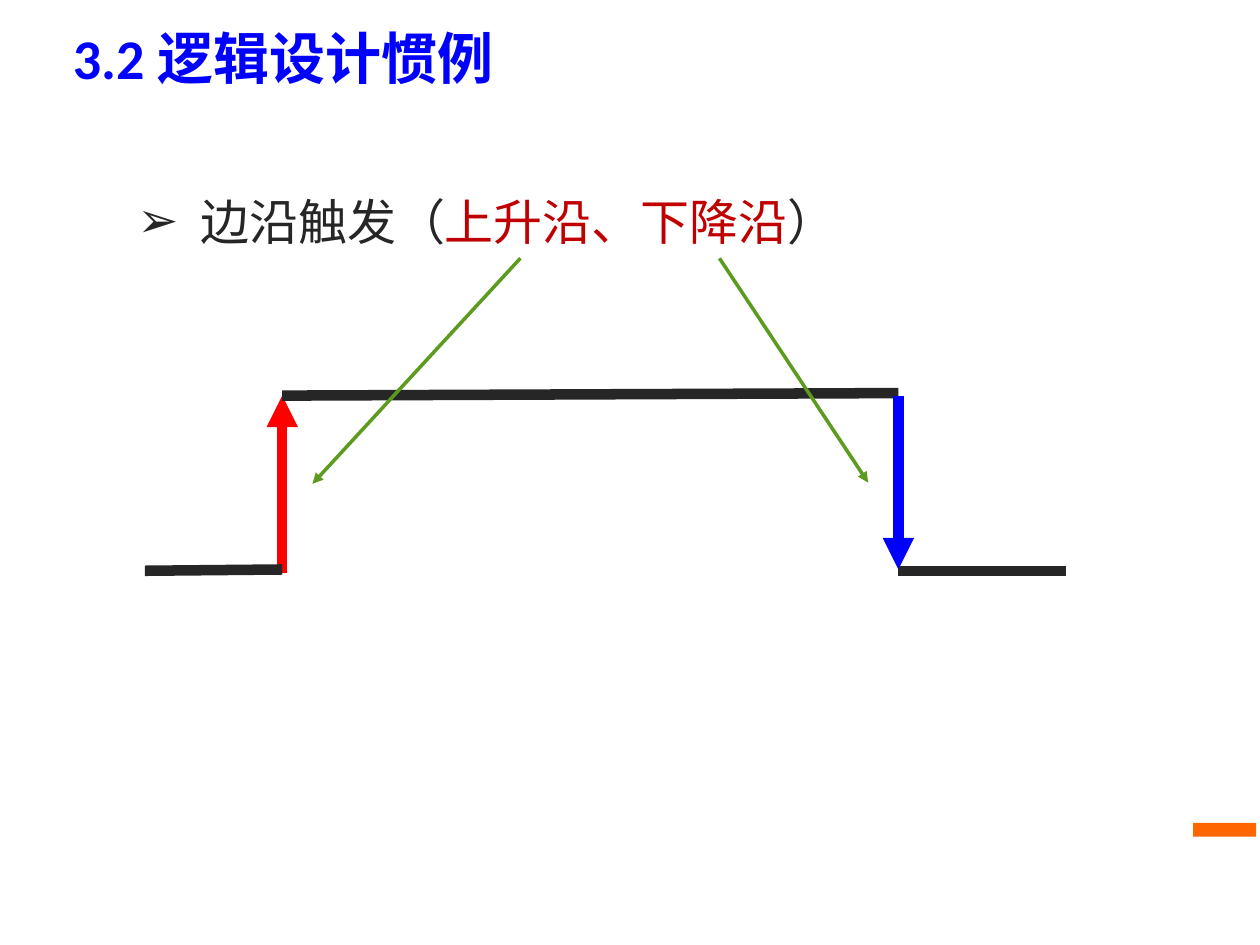
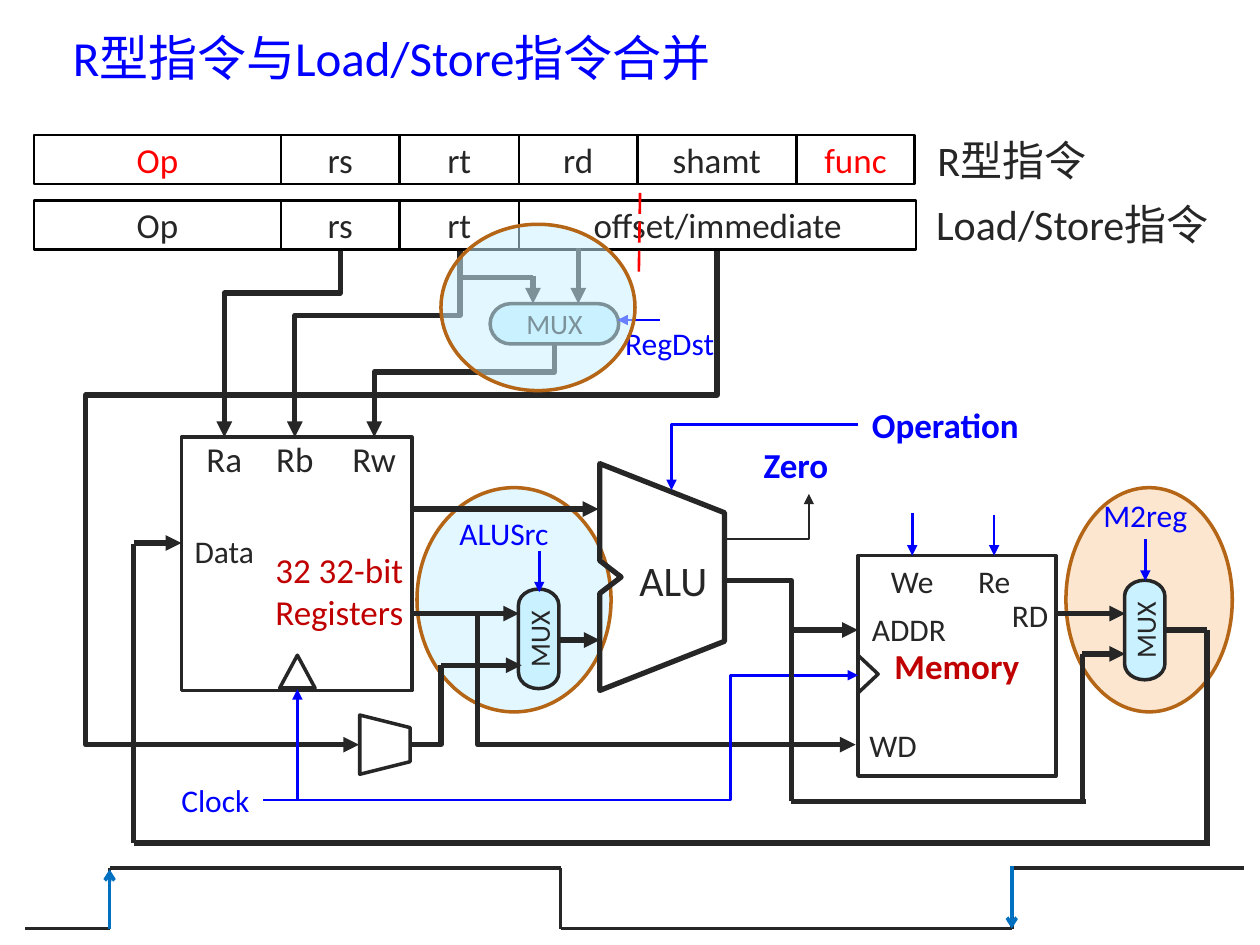
import pptx
import pptx.util
import pptx.dml.color
import pptx.enum.dml
import pptx.enum.shapes
import pptx.enum.text
import pptx.oxml.ns
import lxml.etree

Inches = pptx.util.Inches
Pt = pptx.util.Pt
RGBColor = pptx.dml.color.RGBColor
SHAPE = pptx.enum.shapes.MSO_SHAPE
CONN = pptx.enum.shapes.MSO_CONNECTOR
ALIGN = pptx.enum.text.PP_ALIGN
ANCHOR = pptx.enum.text.MSO_ANCHOR
qn = pptx.oxml.ns.qn

INK = RGBColor(0x26, 0x26, 0x26)
BLACK = RGBColor(0, 0, 0)
WHITE = RGBColor(255, 255, 255)
BLUE = RGBColor(0, 0, 255)
RED = RGBColor(255, 0, 0)
CRIMSON = RGBColor(0xC0, 0, 0)
GREEN = RGBColor(0x5C, 0x9B, 0x1D)
ORANGE = RGBColor(0xFF, 0x66, 0)
BROWN = RGBColor(0xB5, 0x65, 0x16)
PEACH = RGBColor(0xFB, 0xD0, 0xA5)
SKY = RGBColor(0xC9, 0xF1, 0xFF)
EDGE_BLUE = RGBColor(0, 0x70, 0xC0)
FONT = "Calibri"


def box(s, kind, x, y, w, h, text="", size=20, color=INK, bold=False,
        align=ALIGN.CENTER, inset=(0, 0), fill=None, line=None, width=2):
    """Add a preset shape, or a wrapped text box when kind is None."""
    at = [Inches(v) for v in (x, y, w, h)]
    if kind is None:
        sp = s.shapes.add_textbox(*at)
    else:
        sp = s.shapes.add_shape(kind, *at)
        sp.shadow.inherit = False
        if fill is None:
            sp.fill.background()
        else:
            sp.fill.solid()
            sp.fill.fore_color.rgb = fill
        if line is None:
            sp.line.fill.background()
        else:
            sp.line.color.rgb = line
            sp.line.width = Pt(width)
    tf = sp.text_frame
    tf.word_wrap = kind is None
    tf.vertical_anchor = ANCHOR.TOP if kind is None else ANCHOR.MIDDLE
    tf.margin_left = tf.margin_right = Inches(inset[0])
    tf.margin_top = tf.margin_bottom = Inches(inset[1])
    if text:
        tf.text = text
        for p in tf.paragraphs:
            p.alignment = align
            for r in p.runs:
                r.font.name, r.font.size, r.font.bold = FONT, Pt(size), bold
                r.font.color.rgb = color
    return sp


def wire(s, x1, y1, x2, y2, color=INK, width=3, tail="triangle",
         bend=None, adj=(), down=False):
    """Add a straight or bent connector; down means it leaves downwards, then goes left."""
    if down:
        cx, cy, dx, dy = (x1 + x2) / 2, (y1 + y2) / 2, x1 - x2, y2 - y1
        x1, y1, x2, y2 = cx - dy / 2, cy - dx / 2, cx + dy / 2, cy + dx / 2
    c = s.shapes.add_connector(CONN.ELBOW if bend else CONN.STRAIGHT,
                               Inches(x1), Inches(y1), Inches(x2), Inches(y2))
    c.line.color.rgb = color
    c.line.width = Pt(width)
    pr = c._element.spPr
    if down:
        pr.find(qn("a:xfrm")).set("rot", "5400000")
    if bend:
        geom = pr.find(qn("a:prstGeom"))
        geom.set("prst", f"bentConnector{bend}")
        for i, value in enumerate(adj, 1):
            lxml.etree.SubElement(geom.find(qn("a:avLst")), qn("a:gd"), name=f"adj{i}",
                                  fmla=f"val {round(value * 100000)}")
    if tail:
        lxml.etree.SubElement(pr.find(qn("a:ln")), qn("a:tailEnd"), type=tail)
    lxml.etree.SubElement(pr, qn("a:effectLst"))
    return c


prs = pptx.Presentation()
prs.slide_width, prs.slide_height = Inches(10), Inches(7.5)

# Slides with their titles
slides = []
for title, size, bold in [("3.2 逻辑设计惯例", 32, True),
                          ("R型指令与Load/Store指令合并", 28, False)]:
    s = prs.slides.add_slide(prs.slide_layouts[6])
    sp = box(s, None, 0.48, 0.08, 9.19, 0.75, title, size, BLUE, bold, ALIGN.LEFT, (0.1, 0.05))
    sp.text_frame.vertical_anchor = ANCHOR.MIDDLE
    slides.append(s)

# ---- Slide 1: edge triggering ----
s = slides[0]
box(s, SHAPE.RECTANGLE, 9.47, 6.53, 0.5, 0.11, fill=ORANGE)

# Bulleted line
sp = box(s, None, 0.98, 1.47, 7.25, 0.58, inset=(0.11, 0.05))
p = sp.text_frame.paragraphs[0]
pPr = p._p.get_or_add_pPr()
pPr.set("marL", str(Inches(0.5)))
pPr.set("indent", str(-Inches(0.5)))
lxml.etree.SubElement(pPr, qn("a:buFont"), typeface="Wingdings 2")
pPr[0].set("typeface", "Arial")
lxml.etree.SubElement(pPr, qn("a:buChar"), char="➢")
for text, color in [("边沿触发（", INK), ("上升沿、下降沿", CRIMSON), ("）", INK)]:
    r = p.add_run()
    r.text = text
    r.font.name, r.font.size = FONT, Pt(28)
    r.font.color.rgb = color

# Pulse: rising edge, levels, falling edge
wire(s, 2.24, 4.55, 2.24, 3.14, RED, 6)
for level in [(2.24, 3.14, 7.13, 3.12), (1.15, 4.53, 2.24, 4.52), (7.13, 4.53, 8.46, 4.53)]:
    wire(s, *level, width=6, tail=None)
wire(s, 7.13, 3.14, 7.13, 4.52, BLUE, 6)

# Pointers from the words to the edges
wire(s, 4.13, 2.05, 2.48, 3.84, GREEN, 2)
wire(s, 5.71, 2.05, 6.89, 3.83, GREEN, 2)

# ---- Slide 2: merged datapath ----
s = slides[1]


# Highlights behind the ALU and memory multiplexers
highlights = [box(s, SHAPE.OVAL, 8.46, 3.87, 1.32, 1.78, fill=PEACH, line=BROWN),
              box(s, SHAPE.OVAL, 3.31, 3.87, 1.54, 1.78, fill=SKY, line=BROWN)]

# Memory and register file
wire(s, 7.83, 4.87, 8.93, 4.87)
box(s, SHAPE.RECTANGLE, 6.81, 4.41, 1.57, 1.75, "Memory", 20, CRIMSON, True,
    fill=WHITE, line=INK)
box(s, SHAPE.RECTANGLE, 1.44, 3.47, 1.83, 2.01, line=INK)
box(s, SHAPE.FLOWCHART_MERGE, 2.22, 5.2, 0.28, 0.26, line=INK).rotation = 180
box(s, SHAPE.FLOWCHART_MERGE, 6.74, 5.27, 0.3, 0.16, line=INK).rotation = 270
box(s, SHAPE.TRAPEZOID, 2.82, 5.71, 0.47, 0.4, line=INK).rotation = 90

# Instruction formats
formats = [
    (1.07, [("Op", 1.96, RED), ("rs", 0.94, INK), ("rt", 0.95, INK),
            ("rd", 0.94, INK), ("shamt", 1.26, INK), ("func", 0.94, RED)]),
    (1.59, [("Op", 1.96, INK), ("rs", 0.94, INK), ("rt", 0.95, INK),
            ("offset/immediate", 3.15, INK)]),
]
for y, fields in formats:
    x = 0.27
    for name, w, color in fields:
        box(s, SHAPE.RECTANGLE, x, y, w, 0.39, name, 20, color,
            fill=WHITE, line=BLACK, width=1.5)
        x += w
c = wire(s, 5.08, 1.53, 5.07, 2.19, RED, 1.5, None)
c.line.dash_style = pptx.enum.dml.MSO_LINE.LONG_DASH

# ALU outline
alu = [(4.76, 3.68), (4.76, 4.45), (4.93, 4.58), (4.76, 4.71),
       (4.76, 5.48), (5.75, 5.09), (5.75, 4.07)]
points = [(Inches(x), Inches(y)) for x, y in alu]
fb = s.shapes.build_freeform(*points[0])
fb.add_line_segments(points[1:], close=True)
sp = fb.convert_to_shape()
sp.shadow.inherit = False
sp.fill.background()
sp.line.color.rgb = INK
sp.line.width = Pt(3)

# Wires that leave the instruction downwards
for ends, bend, adj in [((2.7, 1.99, 1.78, 3.47), 3, [0.227]),
                        ((3.65, 1.99, 2.34, 3.47), 3, [0.346]),
                        ((5.69, 1.99, 2.85, 5.91), 4, [0.292, 1.764]),
                        ((4.4, 2.73, 2.97, 3.47), 3, [0.301])]:
    wire(s, *ends, bend=bend, adj=adj, down=True)

# Other bent wires
wire(s, 5.75, 4.28, 6.42, 3.92, width=1.5, bend=2)
wire(s, 5.75, 4.61, 6.81, 5, bend=3, adj=[0.5])
wire(s, 3.47, 4.87, 6.79, 5.91, bend=3, adj=[0.097])
wire(s, 3.25, 5.91, 3.5, 5.28, tail=None, bend=2)
wire(s, 6.81, 3.37, 5.33, 3.89, BLUE, 1.5, bend=3, adj=[1])
wire(s, 2.09, 6.35, 6.81, 5.36, BLUE, 1.5, bend=3, adj=[0.786])

# Multiplexers
for x, y, w, turn in [(3.88, 4.91, 0.79, 270), (8.69, 4.84, 0.79, 270), (3.89, 2.41, 1.02, 0)]:
    box(s, SHAPE.FLOWCHART_TERMINATOR, x, y, w, 0.32, "MUX", 16,
        fill=SKY, line=INK).rotation = turn

# Straight data wires with arrowheads
for ends in [(3.25, 4.04, 4.75, 4.04), (3.27, 4.87, 4.12, 4.87), (3.5, 5.28, 4.14, 5.28),
             (4.43, 5.08, 4.76, 5.08), (8.59, 5.19, 8.93, 5.19), (1.06, 4.31, 1.44, 4.31),
             (4.59, 1.97, 4.59, 2.41), (4.23, 2.19, 4.23, 2.41)]:
    wire(s, *ends)

# Straight data wires without arrowheads
for ends in [(6.28, 6.36, 6.28, 4.94), (8.59, 6.36, 8.59, 5.19), (6.28, 6.36, 8.62, 6.36),
             (9.25, 5, 9.58, 5), (9.58, 6.69, 9.58, 5), (1.06, 6.69, 9.6, 6.69),
             (1.06, 6.69, 1.06, 4.32), (3.67, 2.2, 4.23, 2.2)]:
    wire(s, *ends, tail=None)

# Control and clock arrows
for ends in [(2.36, 6.35, 2.36, 5.47), (7.24, 4.07, 7.24, 4.41), (7.89, 4.09, 7.89, 4.41),
             (4.28, 4.37, 4.28, 4.7), (9.09, 4.28, 9.09, 4.61), (5.24, 2.54, 4.9, 2.54)]:
    wire(s, *ends, BLUE, 1.5)

# Labels without insets
for x, y, w, text, size in [(1.44, 3.47, 0.68, "Ra", 20), (2, 3.47, 0.68, "Rb", 20),
                            (2.63, 3.47, 0.68, "Rw", 20), (1.44, 4.22, 0.68, "Data", 18),
                            (4.93, 4.4, 0.83, "ALU", 24)]:
    box(s, None, x, y, w, 0.34, text, size)

# Labels with insets
L, C, R = ALIGN.LEFT, ALIGN.CENTER, ALIGN.RIGHT
for x, y, w, h, text, size, color, bold, align in [
        (1.25, 6.15, 0.84, 0.41, "Clock", 18, BLUE, False, R),
        (1.62, 4.3, 1.69, 0.78, "32 32-bit\nRegisters", 20, CRIMSON, False, R),
        (5.95, 3.47, 0.95, 0.45, "Zero", 20, BLUE, True, L),
        (6.81, 3.15, 1.5, 0.45, "Operation", 20, BLUE, True, L),
        (6.81, 4.79, 0.95, 0.41, "ADDR", 18, INK, False, L),
        (6.79, 5.71, 0.95, 0.41, "WD", 18, INK, False, L),
        (7.69, 4.68, 0.74, 0.41, "RD", 18, INK, False, R),
        (6.88, 4.41, 0.72, 0.41, "We", 18, INK, False, C),
        (7.58, 4.41, 0.62, 0.41, "Re", 18, INK, False, C),
        (3.38, 4.03, 1.24, 0.41, "ALUSrc", 18, BLUE, False, C),
        (8.47, 3.89, 1.24, 0.41, "M2reg", 18, BLUE, False, C),
        (4.84, 2.52, 0.95, 0.41, "RegDst", 18, BLUE, False, C),
        (7.33, 1.02, 2.4, 0.51, "R型指令", 24, INK, False, L),
        (7.32, 1.53, 2.4, 0.51, "Load/Store指令", 24, INK, False, L)]:
    box(s, None, x, y, w, h, text, size, color, bold, align, (0.11, 0.05))

# Highlight over the destination multiplexer; all highlights are translucent
highlights.append(box(s, SHAPE.OVAL, 3.5, 1.78, 1.54, 1.32, fill=SKY, line=BROWN))
for sp in highlights:
    tint = sp._element.spPr.find(qn("a:solidFill"))[0]
    lxml.etree.SubElement(tint, qn("a:alpha"), val="53000")

# Clock waveform with its active edges
wave = [(0.2, 7.37), (0.87, 7.37), (0.87, 6.89), (4.45, 6.89),
        (4.45, 7.37), (8.03, 7.37), (8.03, 6.89), (9.87, 6.89)]
for start, end in zip(wave, wave[1:]):
    wire(s, *start, *end, width=2, tail=None)
wire(s, 0.87, 7.37, 0.87, 6.9, EDGE_BLUE, 2, "arrow")
wire(s, 8.03, 6.87, 8.03, 7.37, EDGE_BLUE, 2, "arrow")

prs.save("out.pptx")
